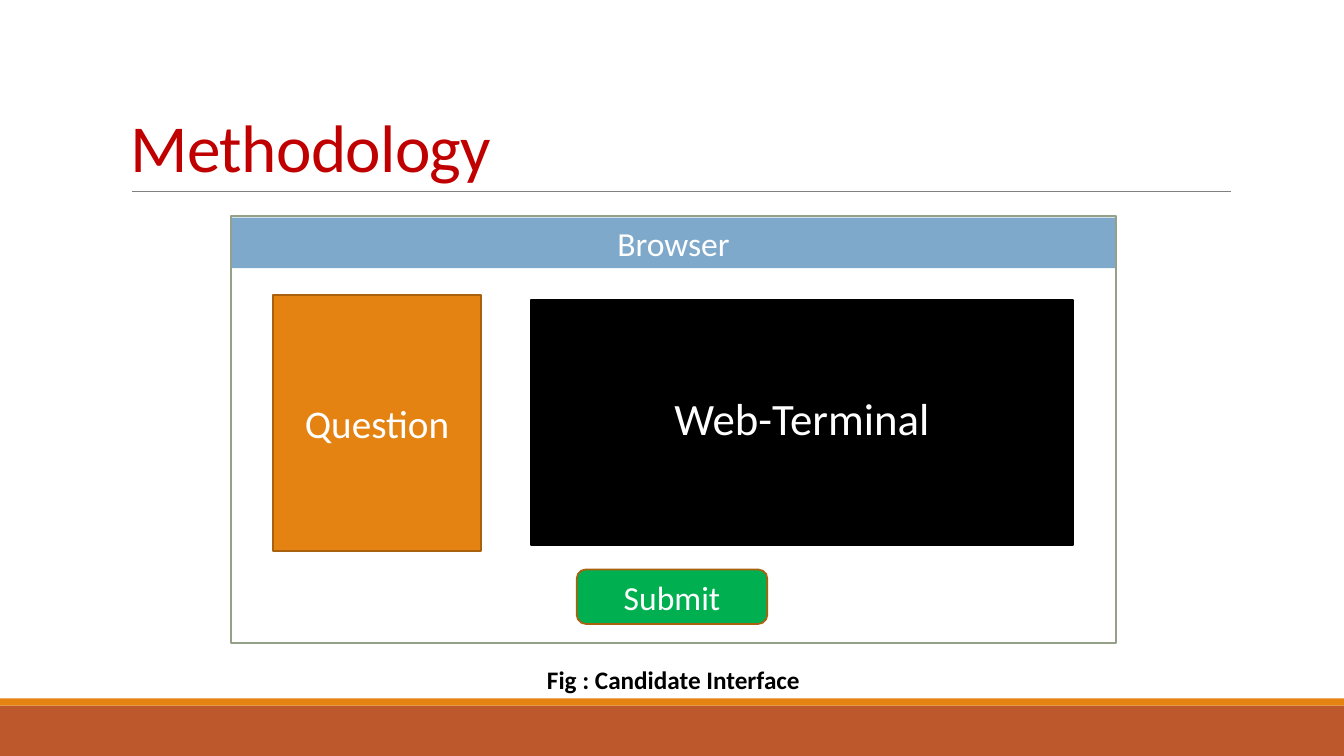
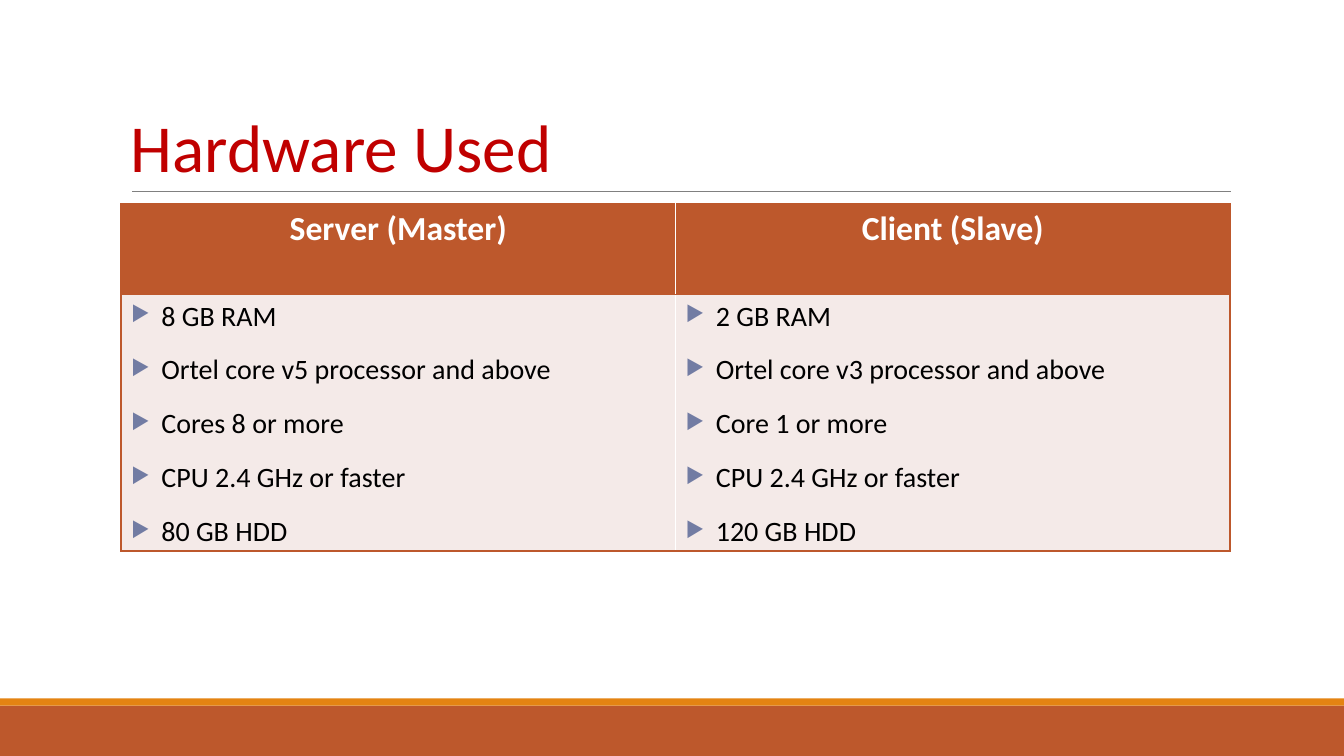
import pptx
import pptx.dml.color
import pptx.enum.shapes
import pptx.enum.text
import pptx.oxml
import pptx.oxml.ns
import pptx.util
from pptx.util import Inches

FONT = "Calibri"
RUST, ORANGE, TITLE_RED = "BD582C", "E48312", "C00000"
WHITE, BLACK, GRAY = "FFFFFF", "000000", "808080"
DARK_ORANGE, CELL_TINT, BULLET_BLUE = "A9610D", "F4EAE8", "727CA3"
RECT = pptx.enum.shapes.MSO_SHAPE.RECTANGLE
ROUNDED = pptx.enum.shapes.MSO_SHAPE.ROUNDED_RECTANGLE
CENTER = pptx.enum.text.PP_ALIGN.CENTER
LEFT = pptx.enum.text.PP_ALIGN.LEFT
MIDDLE = pptx.enum.text.MSO_ANCHOR.MIDDLE
BOTTOM = pptx.enum.text.MSO_ANCHOR.BOTTOM
TOP = pptx.enum.text.MSO_ANCHOR.TOP


def write(para, text, size, color, bold=False, align=CENTER):
    """Add one styled run to a paragraph and return the run."""
    para.alignment = align
    span = para.add_run()
    span.text = text
    span.font.name = FONT
    span.font.size = pptx.util.Pt(size)
    span.font.bold = bold
    span.font.color.rgb = pptx.dml.color.RGBColor.from_string(color)
    return span


def add_box(page, place, fill=None, line=None, kind=RECT, anchor=MIDDLE):
    """Add a shape, or a text box when it has no fill, and return it."""
    lengths = [Inches(value) for value in place]
    if fill:
        box = page.shapes.add_shape(kind, *lengths)
        box.shadow.inherit = False
        box.fill.solid()
        box.fill.fore_color.rgb = pptx.dml.color.RGBColor.from_string(fill)
        if line:
            box.line.color.rgb = pptx.dml.color.RGBColor.from_string(line)
            box.line.width = pptx.util.Pt(1.25)
        else:
            box.line.fill.background()
    else:
        box = page.shapes.add_textbox(*lengths)
    box.text_frame.word_wrap = True
    box.text_frame.vertical_anchor = anchor
    return box


deck = pptx.Presentation()
deck.slide_width, deck.slide_height = Inches(13.33), Inches(7.5)

# Shared bands, rule and title
pages = []
for title, spacing in [("Methodology", -50), ("Hardware Used", 0)]:
    page = deck.slides.add_slide(deck.slide_layouts[6])
    add_box(page, (0, 7, 13.33, 0.5), RUST)
    add_box(page, (0, 6.93, 13.33, 0.07), ORANGE)
    rule = page.shapes.add_connector(
        pptx.enum.shapes.MSO_CONNECTOR.STRAIGHT,
        Inches(1.31), Inches(1.9), Inches(12.21), Inches(1.9))
    rule.line.color.rgb = pptx.dml.color.RGBColor.from_string(GRAY)
    rule.line.width = pptx.util.Pt(0.5)
    pptx.oxml.ns.qn("a:effectLst")
    rule._element.spPr.append(pptx.oxml.parse_xml(
        f'<a:effectLst {pptx.oxml.ns.nsdecls("a")}/>'))
    para = add_box(page, (1.2, 0.31, 11, 1.59), anchor=BOTTOM).text_frame.paragraphs[0]
    para.line_spacing = 0.85
    span = write(para, title, 48, TITLE_RED, align=LEFT)
    if spacing:
        span.font._element.set("spc", str(spacing))
    pages.append(page)
interface_page, hardware_page = pages

# Candidate interface: place, fill, line, kind, anchor, text, size, colour, bold
parts = [
    ((2.29, 2.14, 8.78, 4.24), WHITE, "94A088", RECT, MIDDLE, "", 0, BLACK, False),
    ((2.71, 2.93, 2.06, 2.54), ORANGE, DARK_ORANGE, RECT, MIDDLE, "Question", 28, WHITE, False),
    ((5.27, 2.98, 5.37, 2.43), BLACK, BLACK, RECT, MIDDLE, "", 0, WHITE, False),
    ((5.72, 5.65, 1.89, 0.54), "00B050", DARK_ORANGE, ROUNDED, MIDDLE, "Submit", 24, WHITE, False),
    ((5.27, 3.83, 5.37, 0.64), None, None, RECT, TOP, "Web-Terminal", 32, WHITE, False),
    ((2.3, 2.16, 8.76, 0.5), "7EA9CA", None, RECT, TOP, "Browser", 24, WHITE, False),
    ((2.3, 6.54, 8.76, 0.4), None, None, RECT, TOP, "Fig : Candidate Interface", 18, BLACK, True),
]
for place, fill, line, kind, anchor, text, size, color, bold in parts:
    box = add_box(interface_page, place, fill, line, kind, anchor)
    if text:
        write(box.text_frame.paragraphs[0], text, size, color, bold)

# Hardware table
columns = [
    ("Server (Master)", "L", ["8 GB RAM", "Ortel core v5 processor and above", "Cores 8 or more",
                              "CPU 2.4 GHz or faster", "80 GB HDD"]),
    ("Client (Slave)", "R", ["2 GB RAM", "Ortel core v3 processor and above", "Core 1 or more",
                             "CPU 2.4 GHz or faster", "120 GB HDD"]),
]
names = pptx.oxml.ns.nsdecls("a")
table = hardware_page.shapes.add_table(
    2, 2, Inches(1.2), Inches(2.02), Inches(11), Inches(3.44)).table
table.rows[0].height, table.rows[1].height = Inches(0.9), Inches(2.54)
for column, (heading, outer_side, items) in enumerate(columns):
    header, body = table.cell(0, column), table.cell(1, column)
    write(header.text_frame.paragraphs[0], heading, 24, WHITE, True)
    for index, item in enumerate(items):
        frame = body.text_frame
        para = frame.add_paragraph() if index else frame.paragraphs[0]
        para.space_before, para.space_after = pptx.util.Pt(12), pptx.util.Pt(2)
        write(para, item, 20, BLACK, align=LEFT)
        properties = para._p.get_or_add_pPr()
        properties.set("marL", str(Inches(0.3)))
        properties.set("indent", str(Inches(-0.3)))
        for bullet in (f'<a:buClr {names}><a:srgbClr val="{BULLET_BLUE}"/></a:buClr>',
                       f'<a:buSzPct {names} val="76000"/>',
                       f'<a:buChar {names} char="▶"/>'):
            properties.append(pptx.oxml.parse_xml(bullet))
    for cell, fill in [(header, RUST), (body, CELL_TINT)]:
        cell.fill.solid()
        cell.fill.fore_color.rgb = pptx.dml.color.RGBColor.from_string(fill)
        for position, side in enumerate([outer_side, "T", "B"]):
            cell._tc.get_or_add_tcPr().insert(position, pptx.oxml.parse_xml(
                f'<a:ln{side} {names} w="12700"><a:solidFill>'
                f'<a:srgbClr val="{RUST}"/></a:solidFill></a:ln{side}>'))

deck.save("out.pptx")
